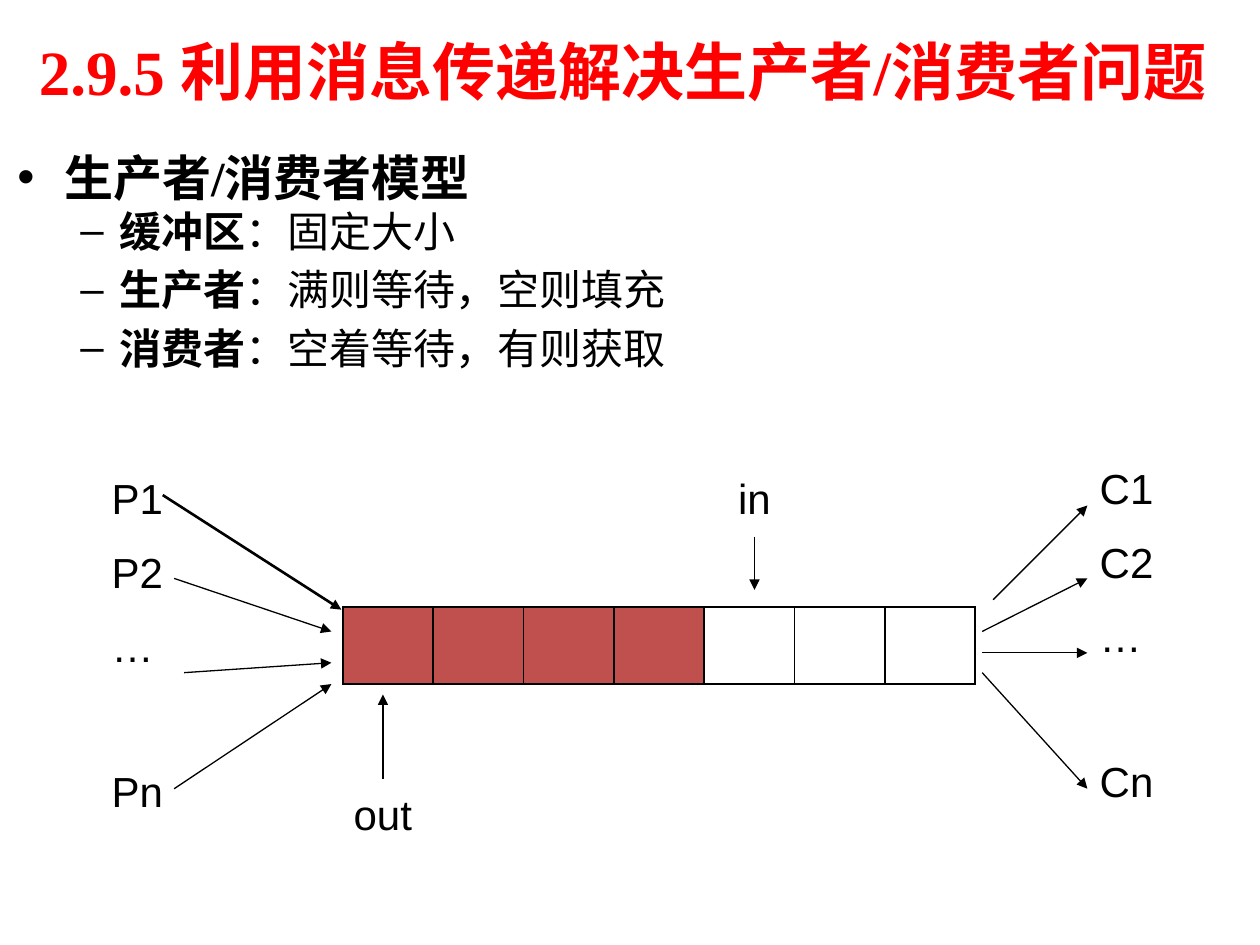
import dataclasses
import pptx
import pptx.util
import pptx.dml.color
import pptx.enum.shapes
import pptx.enum.text
import pptx.oxml.ns
import lxml.etree

Cm, Pt = pptx.util.Cm, pptx.util.Pt
qn = pptx.oxml.ns.qn


@dataclasses.dataclass(frozen=True)
class Theme:
    """Colours, fonts and type sizes of the slide."""
    ink: str = "000000"
    red: str = "FF0000"
    full: str = "C0504D"
    free: str = "FFFFFF"
    serif: str = "Times New Roman"
    sans: str = "Arial"
    han: str = "Noto Sans CJK SC"
    title: int = 36
    head: int = 28
    text: int = 24


LOOK = Theme()


def rgb(code):
    """Return a colour for a hex code."""
    return pptx.dml.color.RGBColor.from_string(code)


def node(parent, tag, **attrs):
    """Append a drawing element to a parent."""
    return lxml.etree.SubElement(parent, qn(tag), attrs)


def add_box(slide, x, y, w, h):
    """Add a wrapping text box and return its frame."""
    frame = slide.shapes.add_textbox(Cm(x), Cm(y), Cm(w), Cm(h)).text_frame
    frame.word_wrap = True
    return frame


def add_run(para, text, size, font, color=LOOK.ink, bold=False):
    """Add one styled run with a Chinese font beside the Latin one."""
    run = para.add_run()
    run.text = text
    run.font.size, run.font.bold, run.font.name = Pt(size), bold, font
    run.font.color.rgb = rgb(color)
    node(run.font._element, "a:ea", typeface=LOOK.han)


def add_para(frame, first):
    """Return the first paragraph of a frame, or a new one."""
    return frame.paragraphs[0] if first else frame.add_paragraph()


def add_arrow(slide, start, end, width=0.75):
    """Draw a line with a triangle at its end."""
    line = slide.shapes.add_connector(
        pptx.enum.shapes.MSO_CONNECTOR.STRAIGHT, *map(Cm, start + end))
    line.line.color.rgb = rgb(LOOK.ink)
    line.line.width = Pt(width)
    node(line.line._get_or_add_ln(), "a:tailEnd", type="triangle")
    node(line._element.spPr, "a:effectLst")


def add_title(slide, x, y, w, h):
    """Place the centred red heading."""
    frame = add_box(slide, x, y, w, h)
    frame.margin_left = frame.margin_right = 0
    frame.vertical_anchor = pptx.enum.text.MSO_ANCHOR.MIDDLE
    para = frame.paragraphs[0]
    para.alignment = pptx.enum.text.PP_ALIGN.CENTER
    add_run(para, "2.9.5 利用消息传递解决生产者/消费者问题",
            LOOK.title, LOOK.serif, LOOK.red, True)


def set_list(para, mark, left, hang):
    """Give a paragraph a bullet with a hanging indent."""
    props = para._p.get_or_add_pPr()
    props.set("marL", str(Cm(left)))
    props.set("indent", str(-Cm(hang)))
    node(props, "a:buFont", typeface=LOOK.sans)
    node(props, "a:buChar", char=mark)
    para.line_spacing = 0.8


def add_model(slide, x, y, w, h):
    """Place the bulleted description of the model."""
    frame = add_box(slide, x, y, w, h)
    head = frame.paragraphs[0]
    set_list(head, "•", 0.95, 0.95)
    add_run(head, "生产者/消费者模型", LOOK.head, LOOK.serif, bold=True)
    for name, rule in (("缓冲区", "：固定大小"),
                       ("生产者", "：满则等待，空则填充"),
                       ("消费者", "：空着等待，有则获取")):
        para = frame.add_paragraph()
        set_list(para, "–", 2.06, 0.79)
        para.space_before = para.space_after = Pt(5.2)
        add_run(para, name, LOOK.text, LOOK.han, bold=True)
        add_run(para, rule, LOOK.text, LOOK.han)


def add_names(slide, x, y, w, h, names):
    """Stack labels, with a wide gap before the last of several."""
    frame = add_box(slide, x, y, w, h)
    for i, name in enumerate(names):
        para = add_para(frame, i == 0)
        if i:
            para.space_before = Pt(54.4 if i == len(names) - 1 else 13.4)
        add_run(para, name, LOOK.text, LOOK.sans)


def add_peers(slide, x, y, shift, names, arrows):
    """Place one side of the model: its labels and its arrows."""
    for x1, y1, x2, y2, width in arrows:
        add_arrow(slide, (x + x1, y + y1), (x + x2, y + y2), width)
    add_names(slide, x + shift, y, 2.1, 7.44, names)


def add_buffer(slide, x, y, w, h, count, used):
    """Place the row of buffer cells, the used ones filled."""
    table = slide.shapes.add_table(1, count, Cm(x), Cm(y), Cm(w), Cm(h)).table
    for i in range(count):
        table.columns[i].width = Cm(w / count)
        cell = table.cell(0, i)
        props = cell._tc.get_or_add_tcPr()
        for side in ("a:lnL", "a:lnR", "a:lnT", "a:lnB"):
            edge = node(props, side, w=str(Pt(1)))
            node(node(edge, "a:solidFill"), "a:srgbClr", val=LOOK.ink)
        cell.fill.solid()
        cell.fill.fore_color.rgb = rgb(LOOK.full if i < used else LOOK.free)


def add_mark(slide, x, y, w, name, start, end):
    """Place a pointer name and its arrow."""
    add_arrow(slide, (x + start[0], y + start[1]), (x + end[0], y + end[1]))
    add_names(slide, x, y, w, 1.27, [name])


def main():
    """Build and save the slide."""
    deck = pptx.Presentation()
    deck.slide_width, deck.slide_height = Cm(25.4), Cm(19.05)
    slide = deck.slides.add_slide(deck.slide_layouts[6])
    add_title(slide, 0, 0.13, 25.1, 2.59)
    add_model(slide, 0.1, 3.08, 22.86, 13.5)
    add_peers(slide, 2, 9.4, 0, ("P1", "P2", "…", "Pn"),
              ((1.28, 0.58, 4.88, 2.89, 1.5), (1.51, 2.26, 4.68, 3.33, 0.75),
               (1.71, 4.16, 4.68, 3.96, 0.75), (1.51, 6.5, 4.68, 4.39, 0.75)))
    add_peers(slide, 19.8, 9.2, 2.12, ("C1", "C2", "…", "Cn"),
              ((0.22, 2.89, 2.12, 0.99, 0.75), (0, 3.53, 2.12, 2.46, 0.75),
               (0, 3.96, 2.12, 3.96, 0.75), (0, 4.36, 2.12, 6.7, 0.75)))
    add_mark(slide, 14.63, 9.4, 1.3, "in", (0.58, 1.42), (0.58, 2.49))
    add_mark(slide, 6.88, 15.77, 2.54, "out", (0.84, -0.07), (0.84, -1.77))
    add_buffer(slide, 6.91, 12.24, 12.75, 1.55, 7, 4)
    deck.save("out.pptx")


if __name__ == "__main__":
    main()
